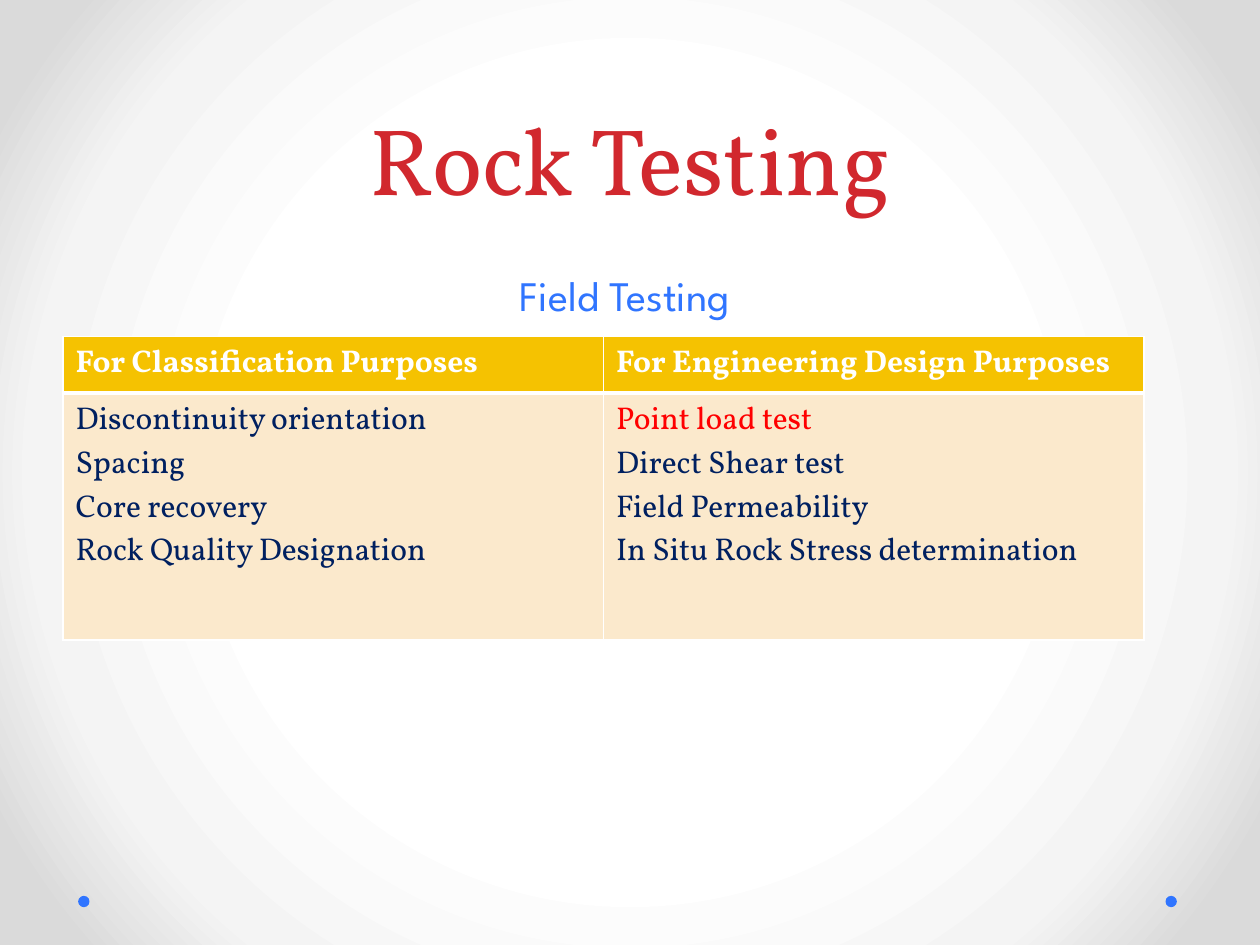
"""Build the Rock Testing slide with its table of field tests."""
from lxml.etree import SubElement as Sub
from pptx import Presentation
from pptx.dml.color import RGBColor as Rgb
from pptx.enum.shapes import MSO_SHAPE as Shape
from pptx.enum.text import MSO_ANCHOR as Anchor, MSO_AUTO_SIZE as Auto, PP_ALIGN as Align
from pptx.oxml.ns import qn
from pptx.util import Inches, Pt

TITLE = "Rock Testing"
HEAD = "Field Testing"
TABLE = [
    ("For Classification Purposes",
     ["Discontinuity orientation", "Spacing", "Core recovery",
      "Rock Quality Designation"]),
    ("For Engineering Design Purposes",
     ["Point load test", "Direct Shear test", "Field Permeability",
      "In Situ Rock Stress determination"]),
]
KEY = "Point load test"
THEME = {
    "serif": "Vollkorn", "sans": "League Spartan",
    "title": "D1282E", "blue": "3075FF", "navy": "002060", "red": "FF0000",
    "white": "FFFFFF", "gold": "F5C201", "cream": "FBE9CC",
    "big": 54, "mid": 24, "small": 18,
    "glow": [(50, "FFFFFF"), (76, "F4F4F4"), (92, "DADADA")],
}


def write(para, text, face, size, color, bold=False):
    run = para.add_run()
    run.text = text
    font = run.font
    font.name, font.size, font.bold = THEME[face], Pt(THEME[size]), bold
    font.color.rgb = Rgb.from_string(THEME[color])


def paint(fill, color):
    fill.solid()
    fill.fore_color.rgb = Rgb.from_string(THEME[color])


def glow(slide):
    fill = slide.background.fill
    fill.gradient()
    grad = slide.background._cSld.find(".//" + qn("a:gradFill"))
    for part in list(grad):
        grad.remove(part)
    stops = Sub(grad, qn("a:gsLst"))
    for pos, color in THEME["glow"]:
        stop = Sub(stops, qn("a:gs"), pos=str(pos * 1000))
        Sub(stop, qn("a:srgbClr"), val=color)
    way = Sub(grad, qn("a:path"), path="circle")
    Sub(way, qn("a:fillToRect"), {side: "50000" for side in "ltrb"})


def place(shape, box):
    shape.left, shape.top, shape.width, shape.height = map(Inches, box)
    frame = shape.text_frame
    frame.vertical_anchor, frame.auto_size = Anchor.BOTTOM, Auto.NONE
    para = frame.paragraphs[0]
    para.alignment = Align.CENTER
    return para


def edge(cell, top, base):
    props = cell._tc.get_or_add_tcPr()
    for side, wide in zip("LRTB", (1, 1, top, base)):
        line = Sub(props, qn("a:ln" + side), w=str(Pt(wide)))
        fill = Sub(line, qn("a:solidFill"))
        Sub(fill, qn("a:srgbClr"), val=THEME["white"])


def grid(slide):
    rows, cols = 2, len(TABLE)
    box = map(Inches, (0.5, 2.67, 8.58, 2.29))
    table = slide.shapes.add_table(rows, cols, *box).table
    for row, high in zip(table.rows, (0.33, 1.96)):
        row.height = Inches(high)
    for col, (head, tests) in enumerate(TABLE):
        top, body = table.cell(0, col), table.cell(1, col)
        edge(top, 1, 3)
        edge(body, 3, 1)
        paint(top.fill, "gold")
        paint(body.fill, "cream")
        write(top.text_frame.paragraphs[0], head, "serif", "small", "white", True)
        frame = body.text_frame
        for num, test in enumerate(tests):
            para = frame.add_paragraph() if num else frame.paragraphs[0]
            write(para, test, "serif", "small", "red" if test == KEY else "navy")


def main():
    deck = Presentation()
    deck.slide_width, deck.slide_height = Inches(10), Inches(7.5)
    slide = deck.slides.add_slide(deck.slide_layouts[1])
    glow(slide)
    for left in (0.62, 9.25):
        dot = slide.shapes.add_shape(
            Shape.OVAL, Inches(left), Inches(7.11), Inches(0.09), Inches(0.09))
        dot.shadow.inherit = False
        paint(dot.fill, "blue")
        dot.line.fill.background()
    title, body = slide.placeholders
    para = place(title, (0.5, 0, 9, 1.75))
    para.line_spacing = Pt(58)
    write(para, TITLE, "serif", "big", "title")
    para = place(body, (2.75, 1.92, 4.42, 0.67))
    props = para._p.get_or_add_pPr()
    props.set("marL", "0")
    props.set("indent", "0")
    Sub(props, qn("a:buNone"))
    para.space_before = Pt(0)
    write(para, HEAD, "sans", "mid", "blue")
    grid(slide)
    deck.save("out.pptx")


if __name__ == "__main__":
    main()
